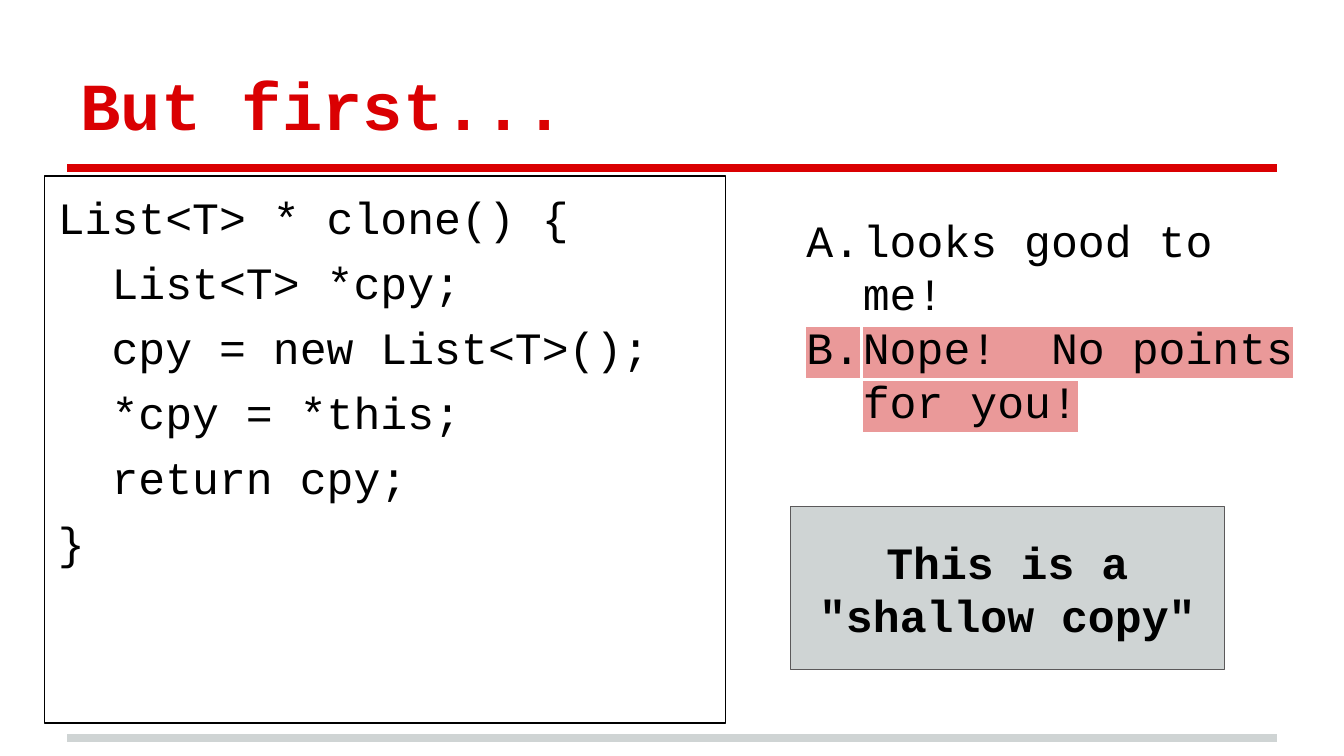
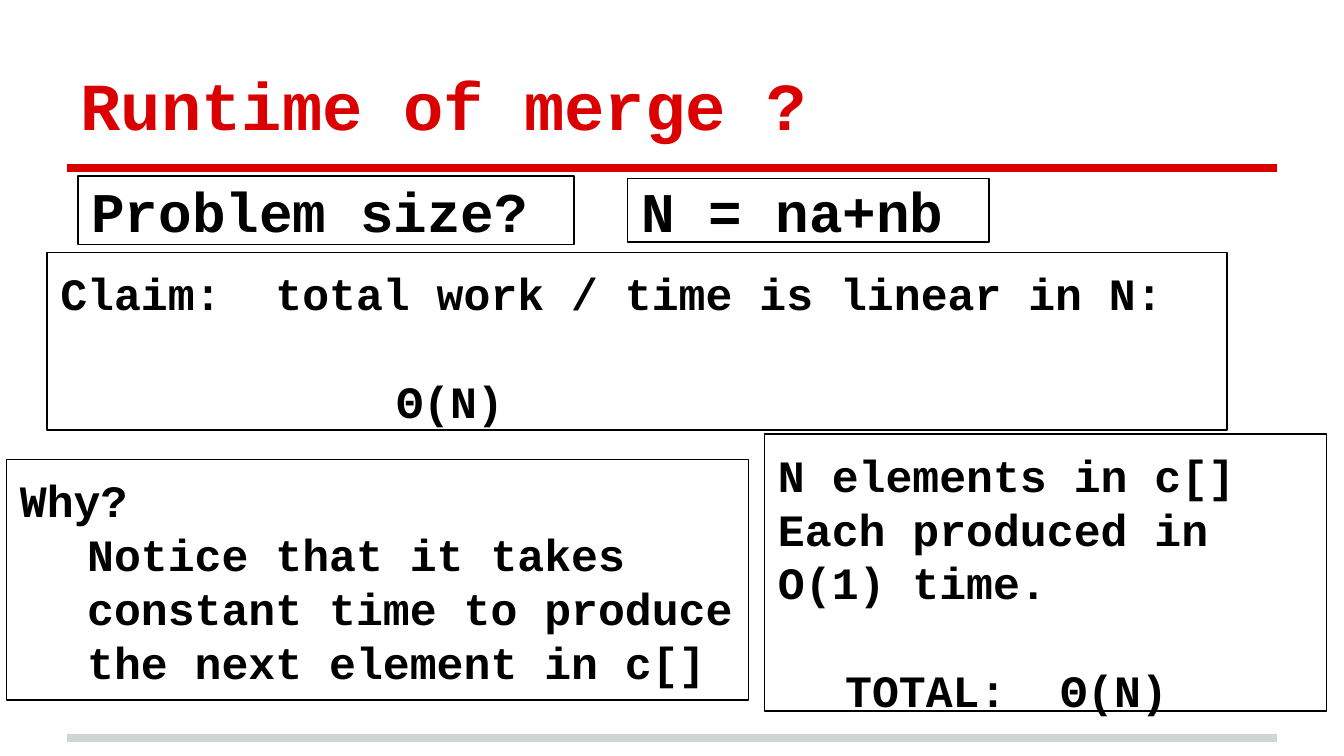
from lxml import etree
from pptx import Presentation
from pptx.dml.color import RGBColor
from pptx.enum.shapes import MSO_CONNECTOR, MSO_SHAPE
from pptx.enum.text import MSO_ANCHOR as ANCHOR, MSO_AUTO_SIZE, PP_ALIGN as ALIGN
from pptx.oxml.ns import qn
from pptx.util import Inches, Pt

COLORS = {
    "red": "DA0002",
    "gray": "CFD4D4",
    "edge": "5B595A",
    "black": "000000",
    "mark": "EA9999",
}
FONT = "Courier New"
LINE = 28.8  # height in points of one 24 pt line


def rgb(name):
    return RGBColor.from_string(COLORS[name])


def add_color(parent, tag, name):
    el = etree.SubElement(parent, qn(tag))
    etree.SubElement(el, qn("a:srgbClr"), val=COLORS[name])
    return el


def write(tf, text, first=False, size=24, bold=False, color="black", align=ALIGN.LEFT,
          before=0, indent=0, hanging=0, numbering=None, mark=None):
    """Add one formatted paragraph; first fills the one already there."""
    p = tf.paragraphs[0] if first else tf.add_paragraph()
    p.alignment = align
    p.space_before, p.space_after = Pt(before), Pt(0)
    pPr = p._p.get_or_add_pPr()
    pPr.set("marL", str(Inches(indent)))
    pPr.set("indent", str(Inches(-hanging)))
    if numbering:
        add_color(pPr, "a:buClr", color)
        etree.SubElement(pPr, qn("a:buFont"), typeface=FONT)
        etree.SubElement(pPr, qn("a:buAutoNum"), type=numbering)
    else:
        etree.SubElement(pPr, qn("a:buNone"))
    r = p.add_run()
    r.text = text
    r.font.name, r.font.size, r.font.bold = FONT, Pt(size), bold
    r.font.color.rgb = rgb(color)
    if mark:
        rPr = r._r.get_or_add_rPr()
        rPr.find(qn("a:latin")).addprevious(add_color(rPr, "a:highlight", mark))


def fill_box(sp, box, paragraphs, anchor=ANCHOR.TOP, fill=None, line=None, **common):
    """Place sp at box and write (text, format) pairs on top of the common format."""
    sp.left, sp.top, sp.width, sp.height = (Inches(v) for v in box)
    if fill:
        sp.fill.solid()
        sp.fill.fore_color.rgb = rgb(fill)
    else:
        sp.fill.background()
    if line:
        sp.line.color.rgb = rgb(line)
        sp.line.width = Pt(0.75)
    tf = sp.text_frame
    tf.word_wrap, tf.auto_size = True, MSO_AUTO_SIZE.NONE
    tf.vertical_anchor = anchor
    tf.margin_left = tf.margin_right = tf.margin_top = tf.margin_bottom = Inches(0.1)
    for i, (text, fmt) in enumerate(paragraphs):
        write(tf, text, first=i == 0, **{**common, **fmt})


def add_box(slide, box, paragraphs, line="black", **fmt):
    sp = slide.shapes.add_shape(MSO_SHAPE.RECTANGLE, *(Inches(v) for v in box))
    sp.shadow.inherit = False
    fill_box(sp, box, paragraphs, line=line, bold=True, **fmt)


def add_rule(slide, y, color):
    c = slide.shapes.add_connector(MSO_CONNECTOR.STRAIGHT, Inches(0.5), Inches(y),
                                   Inches(9.5), Inches(y))
    c.line.color.rgb = rgb(color)
    c.line.width = Pt(4)
    etree.SubElement(c._element.spPr, qn("a:effectLst"))


def add_titled_slide(prs, title):
    slide = prs.slides.add_slide(prs.slide_layouts.get_by_name("Two Content"))
    add_rule(slide, 5.49, "gray")
    add_rule(slide, 1.25, "red")
    fill_box(slide.shapes.title, (0.5, 0.23, 9, 0.94), [(title, {})],
             anchor=ANCHOR.BOTTOM, size=36, bold=True, color="red")
    return slide


def clone_slide(prs):
    slide = add_titled_slide(prs, "But first...")
    code, options = slide.placeholders[1], slide.placeholders[2]
    body = ["List<T> *cpy;", "cpy = new List<T>();", "*cpy = *this;", "return cpy;"]
    fill_box(code, (0.33, 1.31, 5.07, 4.07),
             [("List<T> * clone() {", {}),
              *((text, {"indent": 0.4}) for text in body),
              ("}", {})],
             line="black", before=6)
    fill_box(options, (5.82, 1.48, 4.08, 2.2),
             [("looks good to me!", {"before": 6}),
              ("Nope!  No points for you!", {"mark": "mark"})],
             indent=0.5, hanging=0.42, numbering="alphaUcPeriod")
    add_box(slide, (5.88, 3.77, 3.23, 1.21), [('This is a "shallow copy"', {})],
            anchor=ANCHOR.MIDDLE, fill="gray", line="edge", align=ALIGN.CENTER)


def runtime_slide(prs):
    slide = add_titled_slide(prs, "Runtime of merge ?")
    sizes = [("Problem size?", (0.58, 1.31, 3.69, 0.51)),
             ("N = na+nb", (4.67, 1.33, 2.69, 0.47))]
    for idx, (text, box) in enumerate(sizes, 1):
        fill_box(slide.placeholders[idx], box, [(text, {})], anchor=ANCHOR.MIDDLE,
                 line="black", size=30, bold=True, before=6)
    add_box(slide, (0.35, 1.88, 8.78, 1.32),
            [("Claim:  total work / time is linear in N:", {}),
             ("Θ(N)", {"indent": 2.5, "before": LINE})])
    add_box(slide, (0.05, 3.42, 5.52, 1.79),
            [("Why?", {}),
             ("Notice that it takes constant time to produce the next element in c[]",
              {"indent": 0.5})])
    add_box(slide, (5.69, 3.23, 4.18, 2.06),
            [("N elements in c[]", {}),
             ("Each produced in O(1) time.", {}),
             ("TOTAL:  Θ(N)", {"indent": 0.5, "before": LINE})])


def main():
    prs = Presentation()
    prs.slide_width = Inches(10)
    prs.slide_height = prs.slide_width * 9 // 16
    clone_slide(prs)
    runtime_slide(prs)
    prs.save("out.pptx")


if __name__ == "__main__":
    main()
